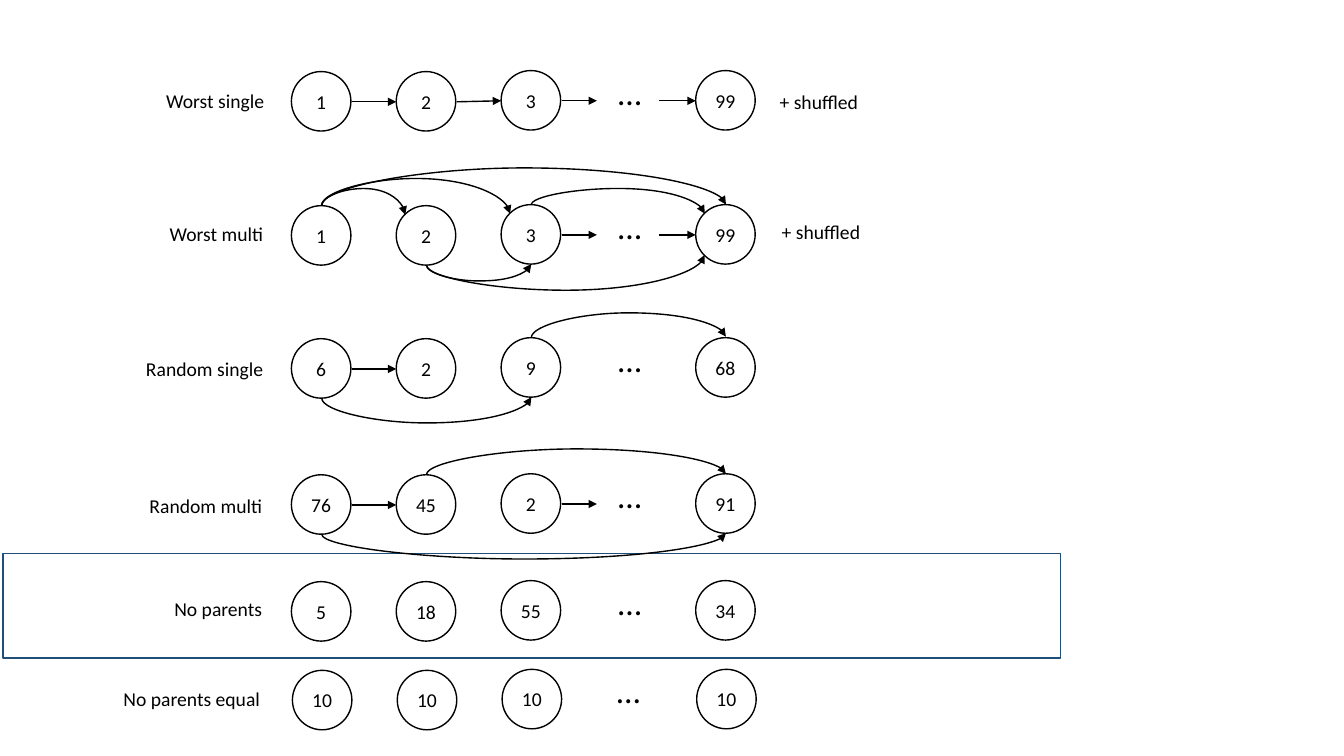
from dataclasses import dataclass
from typing import NamedTuple

from pptx import Presentation
from pptx.dml.color import RGBColor
from pptx.enum.shapes import MSO_CONNECTOR as Link, MSO_SHAPE as Preset
from pptx.enum.text import MSO_ANCHOR as Anchor, MSO_AUTO_SIZE as AutoSize, PP_ALIGN as Align
from pptx.oxml import parse_xml
from pptx.oxml.ns import nsdecls, qn
from pptx.shapes.autoshape import Shape
from pptx.shapes.connector import Connector
from pptx.slide import Slide
from pptx.text.text import TextFrame
from pptx.util import Inches, Pt

BLACK, WHITE, NAVY = "000000", "FFFFFF", "1F4E79"
DIAMETER, RADIUS, CORNER = 0.59, 0.3, 0.09
NODE_LEFTS = (2.89, 3.93, 4.97, 6.9)
NODE_LIFTS = (0, 0, 0.01, 0.01)


class Arc(NamedTuple):
    """A curved arrow between two nodes of a row."""
    source: int
    target: int
    bulge: float
    below: bool = False
    corner: bool = False


class Gap(NamedTuple):
    """A straight arrow, with its ends measured down from the row top."""
    left: float
    right: float
    start_drop: float
    end_drop: float


class Caption(NamedTuple):
    """A line of text and its place."""
    text: str
    left: float
    top: float
    width: float


@dataclass(frozen=True)
class Row:
    """One test case: its captions, nodes and arrows."""
    top: float
    captions: tuple[Caption, ...]
    numbers: tuple[int, ...]
    gaps: tuple[Gap, ...] = ()
    arcs: tuple[Arc, ...] = ()
    shift: float = 0
    dots_width: float = 0.44


FIRST = Gap(3.49, 3.93, 0.3, 0.3)
SECOND = Gap(4.53, 4.97, 0.3, 0.29)
TO_DOTS = Gap(5.57, 5.92, 0.29, 0.29)
FROM_DOTS = Gap(6.54, 6.9, 0.29, 0.29)

ROWS = (
    Row(0.71, (Caption("Worst single", 1.53, 0.83, 1.19), Caption("+ shuffled", 7.62, 0.84, 0.99)),
        (1, 2, 3, 99), (FIRST, SECOND, TO_DOTS, FROM_DOTS)),
    Row(2.04, (Caption("Worst multi", 1.53, 2.15, 1.18), Caption("+ shuffled", 7.64, 2.13, 0.99)),
        (1, 2, 3, 99), (TO_DOTS, FROM_DOTS),
        (Arc(0, 1, 0.17, corner=True), Arc(0, 2, 0.27, corner=True), Arc(0, 3, 0.38),
         Arc(2, 3, 0.16, corner=True), Arc(1, 2, 0.16, below=True),
         Arc(1, 3, 0.25, below=True, corner=True))),
    Row(3.36, (Caption("Random single", 1.33, 3.49, 1.38),), (6, 2, 9, 68), (FIRST,),
        (Arc(0, 2, 0.25, below=True), Arc(2, 3, 0.25))),
    Row(4.71, (Caption("Random multi", 1.37, 4.85, 1.33),), (76, 45, 2, 91), (FIRST, TO_DOTS),
        (Arc(0, 3, 0.25, below=True), Arc(1, 3, 0.26))),
    Row(5.77, (Caption("No parents", 1.62, 5.87, 1.08),), (5, 18, 55, 34)),
    Row(6.65, (Caption("No parents equal", 1.11, 6.77, 1.57),), (10, 10, 10, 10),
        shift=0.01, dots_width=0.38),
)


def color(value: str) -> RGBColor:
    """Turn a hex string into a colour."""
    return RGBColor.from_string(value)


def write(frame: TextFrame, text: str, size: int, align: Align) -> None:
    """Fill a text frame with one black paragraph."""
    para = frame.paragraphs[0]
    para.text, para.alignment = text, align
    para.font.name, para.font.size = "Calibri", Pt(size)
    para.font.color.rgb = color(BLACK)


def add_outline(page: Slide, preset: Preset, left: float, top: float,
                width: float, height: float, line: str) -> Shape:
    """Draw a white shape with a thin outline."""
    shape = page.shapes.add_shape(preset, Inches(left), Inches(top), Inches(width), Inches(height))
    shape.shadow.inherit = False
    shape.fill.solid()
    shape.fill.fore_color.rgb = color(WHITE)
    shape.line.color.rgb, shape.line.width = color(line), Pt(1)
    return shape


def add_node(page: Slide, number: int, left: float, top: float) -> None:
    """Draw a numbered circle."""
    frame = add_outline(page, Preset.OVAL, left, top, DIAMETER, DIAMETER, BLACK).text_frame
    frame.margin_left = frame.margin_right = 0
    frame.vertical_anchor = Anchor.MIDDLE
    write(frame, str(number), 14, Align.CENTER)


def add_caption(page: Slide, caption: Caption, size: int = 14, height: float = 0.34) -> None:
    """Place an unwrapped, right-aligned line of text."""
    box = page.shapes.add_textbox(Inches(caption.left), Inches(caption.top),
                                  Inches(caption.width), Inches(height))
    box.text_frame.word_wrap = False
    box.text_frame.auto_size = AutoSize.SHAPE_TO_FIT_TEXT
    write(box.text_frame, caption.text, size, Align.RIGHT)


def add_arrow(page: Slide, kind: Link, left: float, top: float,
              right: float, bottom: float) -> Connector:
    """Draw a black connector with a triangular head."""
    arrow = page.shapes.add_connector(kind, Inches(left), Inches(top), Inches(right), Inches(bottom))
    arrow.line.color.rgb, arrow.line.width = color(BLACK), Pt(1)
    arrow.line._get_or_add_ln().append(parse_xml(f'<a:tailEnd {nsdecls("a")} type="triangle"/>'))
    arrow.element.spPr.append(parse_xml(f'<a:effectLst {nsdecls("a")}/>'))
    return arrow


def add_arc(page: Slide, row: Row, arc: Arc) -> None:
    """Draw a curved arrow as a connector turned on its side."""
    edge = DIAMETER if arc.below else 0
    inset = (-CORNER if arc.below else CORNER) if arc.corner else 0
    start_x = NODE_LEFTS[arc.source] + RADIUS
    end_x = NODE_LEFTS[arc.target] + (CORNER if arc.corner else RADIUS)
    start_y = row.top - NODE_LIFTS[arc.source] + edge
    end_y = row.top - NODE_LIFTS[arc.target] + edge + inset
    drop = round(end_y - start_y, 2) or -0.01
    width, height = abs(drop), end_x - start_x
    left = (start_x + end_x - width) / 2
    top = start_y + (drop - height) / 2
    curve = add_arrow(page, Link.CURVE, left, top, left + width, top + height)
    frame = curve.element.spPr.find(qn("a:xfrm"))
    frame.set("rot", str((270 if drop > 0 else 90) * 60000))
    frame.set("flipH", "1")
    frame.set("flipV", "0" if drop > 0 else "1")
    ratio = (arc.bulge if arc.below else -arc.bulge) / drop
    guides = curve.element.spPr.find(qn("a:prstGeom")).find(qn("a:avLst"))
    guides.append(parse_xml(
        f'<a:gd {nsdecls("a")} name="adj1" fmla="val {round(ratio * 100000)}"/>'))


def add_row(page: Slide, row: Row) -> None:
    """Draw one test case."""
    for number, left, lift in zip(row.numbers, NODE_LEFTS, NODE_LIFTS):
        add_node(page, number, left + row.shift, row.top - lift)
    for caption in row.captions:
        add_caption(page, caption)
    add_caption(page, Caption("…", 6.02, row.top - 0.05, row.dots_width), 24, 0.5)
    for gap in row.gaps:
        add_arrow(page, Link.STRAIGHT, gap.left, row.top + gap.start_drop,
                  gap.right, row.top + gap.end_drop)
    for arc in row.arcs:
        add_arc(page, row, arc)


def main() -> None:
    """Build the deck."""
    deck = Presentation()
    deck.slide_width, deck.slide_height = Inches(13.33), Inches(7.5)
    page = deck.slides.add_slide(deck.slide_layouts[6])
    add_outline(page, Preset.RECTANGLE, 0.03, 5.49, 10.49, 1.04, NAVY)
    for row in ROWS:
        add_row(page, row)
    deck.save("out.pptx")


main()
